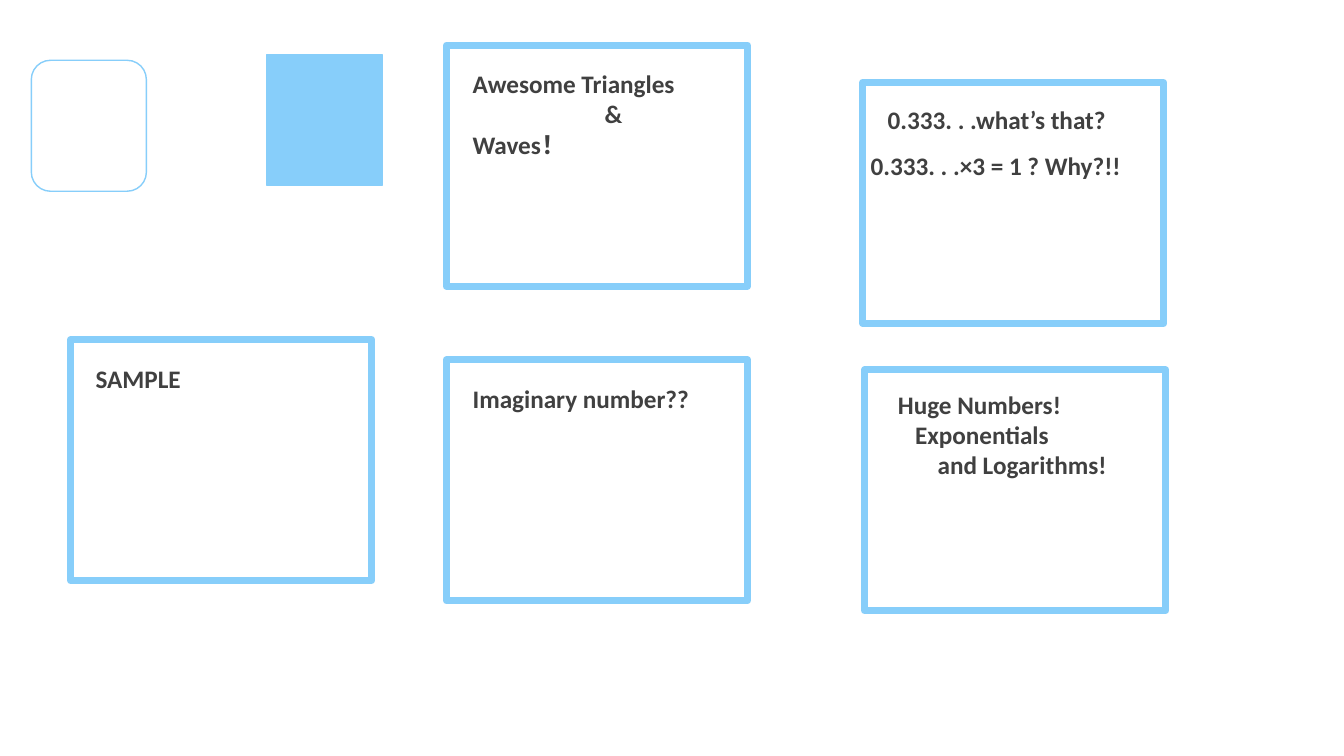
from pptx import Presentation
from pptx.dml.color import RGBColor
from pptx.enum.shapes import MSO_SHAPE
from pptx.enum.text import MSO_AUTO_SIZE
from pptx.util import Cm, Pt

RECT = MSO_SHAPE.RECTANGLE
ROUND = MSO_SHAPE.ROUNDED_RECTANGLE
GROW = MSO_AUTO_SIZE.SHAPE_TO_FIT_TEXT
SKY = RGBColor(0x87, 0xCE, 0xFA)
GREY = RGBColor(0x40, 0x40, 0x40)

CARD = (7.59, 6.07)
TILE = (2.9, 3.3)
CARDS = [(21.74, 2.08), (11.25, 9.07), (21.79, 9.32), (1.78, 8.56), (11.25, 1.14)]
LABELS = [
    (22.12, 2.51, 6.86, [("0.333. . .what’s that?", 0)]),
    (21.69, 3.66, 7.59, [("0.333. . .×3 = 1 ? Why?!!", 0)]),
    (22.38, 9.68, 6.22, [("Huge Numbers!", 0), ("Exponentials", 0.43),
                         ("and Logarithms!", 1)]),
    (11.66, 9.53, 6.22, [("Imaginary number??", 0)]),
    (2.16, 9.04, 2.9, [("SAMPLE", 0)]),
    (11.66, 1.6, 7.14, [("Awesome Triangles", 0), ("&", 3.33), ("Waves！", 0)]),
]


def add_box(slide, kind, spot, size, width, fill=None):
    box = slide.shapes.add_shape(kind, *map(Cm, spot + size))
    box.shadow.inherit = False
    if fill is None:
        box.fill.background()
    else:
        box.fill.solid()
        box.fill.fore_color.rgb = fill
    box.line.color.rgb = SKY
    box.line.width = Pt(width)


def add_label(slide, left, top, width, lines):
    height = 0.25 + 0.77 * len(lines)
    box = slide.shapes.add_textbox(Cm(left), Cm(top), Cm(width), Cm(height))
    frame = box.text_frame
    frame.word_wrap = True
    frame.auto_size = GROW
    frame.text = "\n".join(text for text, indent in lines)
    for para, (text, indent) in zip(frame.paragraphs, lines):
        if indent:
            para._p.get_or_add_pPr().set("marL", str(Cm(indent)))
        for run in para.runs:
            run.font.name = "Calibri"
            run.font.size = Pt(18)
            run.font.bold = True
            run.font.color.rgb = GREY


def main():
    deck = Presentation()
    deck.slide_width = Cm(33.87)
    deck.slide_height = Cm(19.05)
    slide = deck.slides.add_slide(deck.slide_layouts[6])
    add_box(slide, ROUND, (0.79, 1.52), TILE, 1)
    add_box(slide, RECT, (6.73, 1.37), TILE, 1, SKY)
    for spot in CARDS:
        add_box(slide, RECT, spot, CARD, 5)
    for label in LABELS:
        add_label(slide, *label)
    deck.save("out.pptx")


if __name__ == "__main__":
    main()
